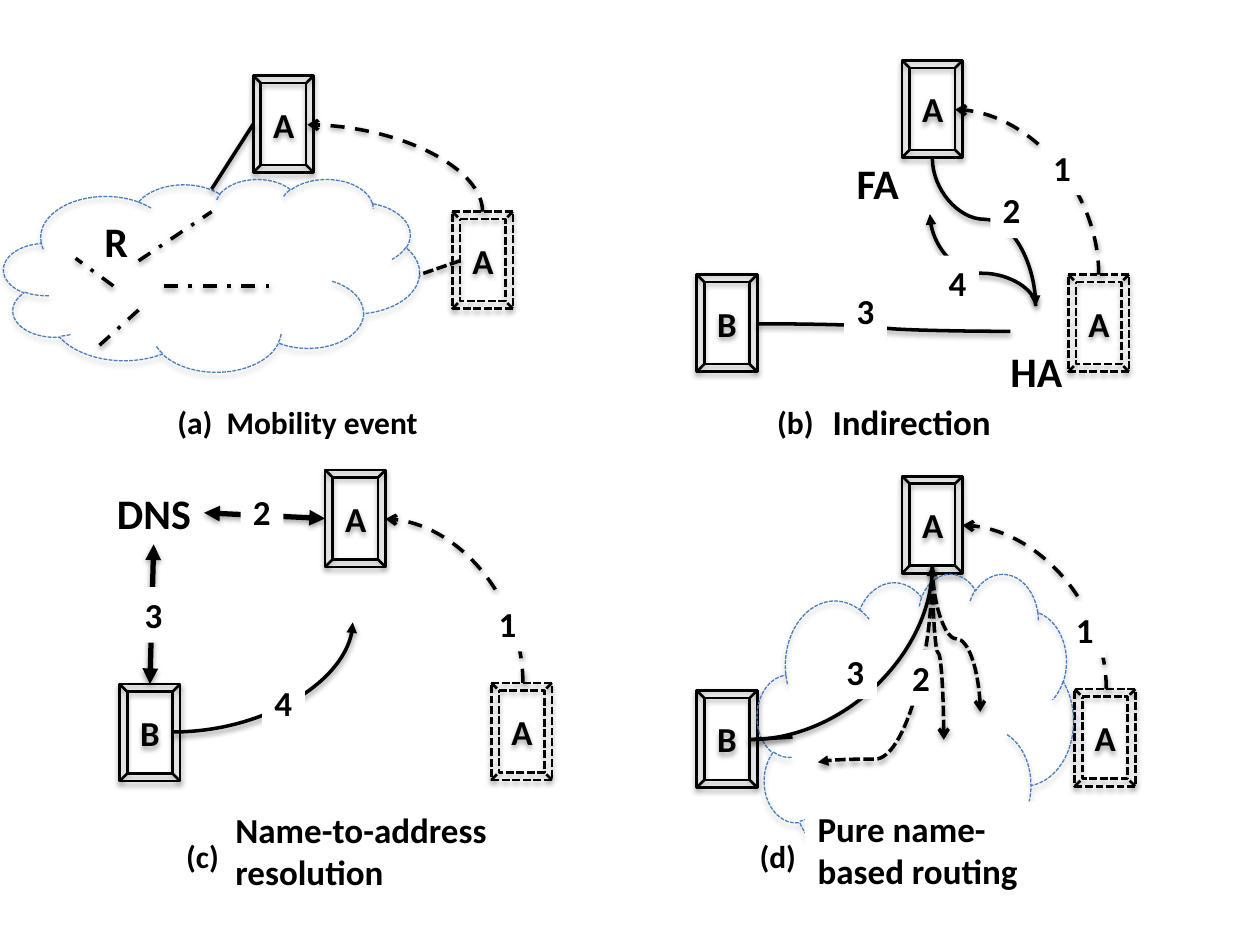
from dataclasses import dataclass
from typing import Optional

import pptx
import pptx.dml.color
import pptx.enum.dml
import pptx.enum.shapes
import pptx.enum.text
import pptx.oxml
import pptx.oxml.ns
import pptx.util

PX = 9144  # 100 px to the inch
HOST_WIDTH, HOST_HEIGHT = 48, 77
BLACK, WHITE, CLOUD_BLUE = "000000", "FFFFFF", "4B7EBC"
SHAPES = pptx.enum.shapes.MSO_SHAPE
CONNECTORS = pptx.enum.shapes.MSO_CONNECTOR
DASH = pptx.enum.dml.MSO_LINE.DASH
DASH_DOT = pptx.enum.dml.MSO_LINE.DASH_DOT
SHORT_DASH = pptx.enum.dml.MSO_LINE.SQUARE_DOT
TOP, LEFT = 0, 1
BEVEL_SITES = {TOP: 6, LEFT: 4}  # a bevel numbers its connection sites differently


@dataclass(frozen=True)
class Cloud:
    left: int
    top: int
    width: int
    height: int


@dataclass(frozen=True)
class Host:
    left: int
    top: int
    name: str
    departed: bool = False


@dataclass(frozen=True)
class Link:
    start: tuple[int, int]
    end: tuple[int, int]
    dash: Optional[int] = None
    head: str = ""
    tail: str = ""
    weight: int = 2
    host: Optional[Host] = None  # joined to the start
    side: int = LEFT


@dataclass(frozen=True)
class Curve(Link):
    bends: int = 2
    upright: bool = True  # leaves its start vertically
    turn: float = 0.5


@dataclass(frozen=True)
class Label:
    left: int
    top: int
    text: str
    width: int = 34
    height: int = 44
    size: int = 20
    filled: bool = True
    wrap: bool = False


def px(length: float) -> int:
    return round(length * PX)


def color(value: str) -> pptx.dml.color.RGBColor:
    return pptx.dml.color.RGBColor.from_string(value)


def add_xml(parent, tag: str, attributes: str = "", inner: str = "") -> None:
    parent.append(pptx.oxml.parse_xml(
        f'<a:{tag} {pptx.oxml.ns.nsdecls("a")} {attributes}>{inner}</a:{tag}>'))


def add_shadow(properties, opacity: int, distance: int) -> None:
    add_xml(properties, "effectLst", inner=(
        f'<a:outerShdw blurRad="40000" dist="{distance}" dir="5400000" rotWithShape="0">'
        f'<a:srgbClr val="{BLACK}"><a:alpha val="{opacity}000"/></a:srgbClr></a:outerShdw>'))


def style_line(line, value: str, weight: float, dash: Optional[int]) -> None:
    line.color.rgb = color(value)
    line.width = pptx.util.Pt(weight)
    if dash is not None:
        line.dash_style = dash


def add_span(para, text: str, size: int) -> None:
    span = para.add_run()
    span.text = text
    span.font.size = pptx.util.Pt(size)
    span.font.name = "Calibri"
    span.font.bold = True
    span.font.color.rgb = color(BLACK)


def draw_outline(page, kind, left: int, top: int, width: int, height: int):
    shape = page.shapes.add_shape(kind, px(left), px(top), px(width), px(height))
    shape.fill.background()
    return shape


def draw_cloud(page, cloud: Cloud, drawn: dict) -> None:
    shape = draw_outline(page, SHAPES.CLOUD, cloud.left, cloud.top, cloud.width, cloud.height)
    style_line(shape.line, CLOUD_BLUE, 0.75, SHORT_DASH)
    add_shadow(shape._element.spPr, 35, 23000)


def draw_host(page, host: Host, drawn: dict) -> None:
    box = draw_outline(page, SHAPES.BEVEL, host.left, host.top, HOST_WIDTH, HOST_HEIGHT)
    style_line(box.line, BLACK, 1.5, SHORT_DASH if host.departed else None)
    add_shadow(box._element.spPr, 35, 23000)
    box.text_frame.vertical_anchor = pptx.enum.text.MSO_ANCHOR.MIDDLE
    para = box.text_frame.paragraphs[0]
    para.alignment = pptx.enum.text.PP_ALIGN.CENTER
    add_span(para, host.name, 20)
    drawn[host] = box


def style_link(connector, link: Link) -> None:
    style_line(connector.line, BLACK, link.weight, link.dash)
    outline = connector.line._get_or_add_ln()
    for tag, arrow in (("headEnd", link.head), ("tailEnd", link.tail)):
        if arrow:
            add_xml(outline, tag, f'type="{arrow}"')
    add_shadow(connector._element.spPr, 38, 20000)


def draw_link(page, link: Link, drawn: dict) -> None:
    connector = page.shapes.add_connector(
        CONNECTORS.STRAIGHT, *map(px, link.start + link.end))
    if link.host:
        connector.begin_connect(drawn[link.host], link.side)
        joint = connector._element.find(".//" + pptx.oxml.ns.qn("a:stCxn"))
        joint.set("idx", str(BEVEL_SITES[link.side]))
    style_link(connector, link)


def draw_curve(page, curve: Curve, drawn: dict) -> None:
    (x1, y1), (x2, y2) = curve.start, curve.end
    rotation = 0
    if curve.upright:  # lay the curve flat around its centre, then rotate it
        across, down = x2 - x1, y2 - y1
        rotation = 90 if down > 0 else 270
        middle_x, middle_y = (x1 + x2) / 2, (y1 + y2) / 2
        half_width = abs(down) / 2
        half_height = abs(across) / 2 * (-1 if (across > 0) == (down > 0) else 1)
        x1, x2 = middle_x - half_width, middle_x + half_width
        y1, y2 = middle_y - half_height, middle_y + half_height
    connector = page.shapes.add_connector(CONNECTORS.CURVE, px(x1), px(y1), px(x2), px(y2))
    properties = connector._element.spPr
    if rotation:
        properties.find(pptx.oxml.ns.qn("a:xfrm")).set("rot", str(rotation * 60000))
    geometry = properties.find(pptx.oxml.ns.qn("a:prstGeom"))
    geometry.set("prst", f"curvedConnector{curve.bends}")
    if curve.turn != 0.5:
        adjustments = geometry.find(pptx.oxml.ns.qn("a:avLst"))
        add_xml(adjustments, "gd", f'name="adj1" fmla="val {round(curve.turn * 100000)}"')
    style_link(connector, curve)


def draw_label(page, label: Label, drawn: dict) -> None:
    box = page.shapes.add_textbox(
        px(label.left), px(label.top), px(label.width), px(label.height))
    if label.filled:
        box.fill.solid()
        box.fill.fore_color.rgb = color(WHITE)
    box.text_frame.word_wrap = label.wrap
    box.text_frame.auto_size = pptx.enum.text.MSO_AUTO_SIZE.SHAPE_TO_FIT_TEXT
    add_span(box.text_frame.paragraphs[0], label.text, label.size)


def plain(left: int, top: int, text: str, width: int, size: int) -> Label:
    return Label(left, top, text, width, 50 if size == 24 else 40, size, filled=False)


def move(start: tuple[int, int], end: tuple[int, int]) -> Curve:
    return Curve(start, end, DASH, tail="arrow")


def probe(end: tuple[int, int], tail: str = "arrow", turn: float = 0.5) -> Curve:
    return Curve((740, 449), end, SHORT_DASH, tail=tail, bends=3, turn=turn)


# Parts of each panel, back to front
mobile_host = Host(201, 60, "A")
MOBILITY = [
    Cloud(3, 142, 330, 153),
    mobile_host,
    Link((365, 207), (333, 218), SHORT_DASH),
    Link((201, 99), (168, 150), host=mobile_host),
    move((383, 168), (244, 99)),
    *(Link(start, end, DASH_DOT) for start, end in (
        ((130, 227), (214, 227)), ((110, 207), (168, 168)),
        ((90, 227), (60, 205)), ((110, 246), (79, 274)))),
    Host(359, 168, "A", departed=True),
    Label(170, 315, "Mobility event", 173, 40, 18, wrap=True),
    plain(131, 315, "(a)", 48, 18),
    plain(73, 166, "R", 39, 24),
]
INDIRECTION = [
    Host(553, 218, "B"), Host(716, 48, "A"), Host(848, 218, "A", departed=True),
    Curve((601, 257), (802, 263), bends=3, upright=False),
    Curve((822, 243), (738, 170), tail="triangle", bends=3, turn=0.357),
    plain(792, 269, "HA", 62, 24), plain(670, 120, "FA", 57, 24),
    move((872, 218), (758, 87)),
    Label(826, 111, "1"),
    Curve((740, 126), (822, 243), tail="triangle", bends=3, turn=0.411),
    Label(786, 145, "2"), Label(670, 225, "3"), Label(743, 203, "4"),
    Label(651, 313, "Indirection", 147, filled=False),
    plain(607, 315, "(b)", 49, 18),
]
caller, callee = Host(95, 543, "B"), Host(258, 373, "A")
RESOLUTION = [
    caller, callee, Host(390, 542, "A", departed=True),
    Curve((137, 581), (280, 494), tail="triangle", upright=False),
    move((415, 542), (306, 412)),
    plain(83, 382, "DNS", 79, 24),
    Link((119, 543), (122, 432), None, "triangle", "triangle", 3, caller, TOP),
    Link((258, 412), (162, 407), None, "triangle", "triangle", 3, callee, LEFT),
    Label(386, 473, "1"), Label(191, 384, "2"), Label(105, 466, "3"), Label(208, 536, "4"),
    Label(177, 637, "Name-to-address resolution", 223, 77, filled=False, wrap=True),
    plain(138, 659, "(c)", 46, 18),
]
ROUTING = [
    Host(553, 548, "B"), Host(716, 378, "A"), Host(853, 547, "A", departed=True),
    move((878, 547), (764, 417)),
    Label(844, 478, "1"),
    Cloud(601, 455, 251, 241),
    Link((629, 585), (595, 587)),
    probe((649, 605), "triangle", 0.984),
    Label(714, 516, "2"),
    Curve((595, 587), (740, 449), tail="triangle", upright=False),
    Label(662, 511, "3"),
    Label(639, 636, "Pure name-based routing", 188, 77, wrap=True),
    probe((749, 587)), probe((778, 565)),
    plain(593, 659, "(d)", 49, 18),
]
PAINTERS = {Cloud: draw_cloud, Host: draw_host, Link: draw_link,
            Curve: draw_curve, Label: draw_label}


def main() -> None:
    deck = pptx.Presentation()
    deck.slide_width, deck.slide_height = px(1000), px(750)
    page = deck.slides.add_slide(deck.slide_layouts[6])
    drawn = {}
    for part in MOBILITY + INDIRECTION + RESOLUTION + ROUTING:
        PAINTERS[type(part)](page, part, drawn)
    deck.save("out.pptx")


if __name__ == "__main__":
    main()
